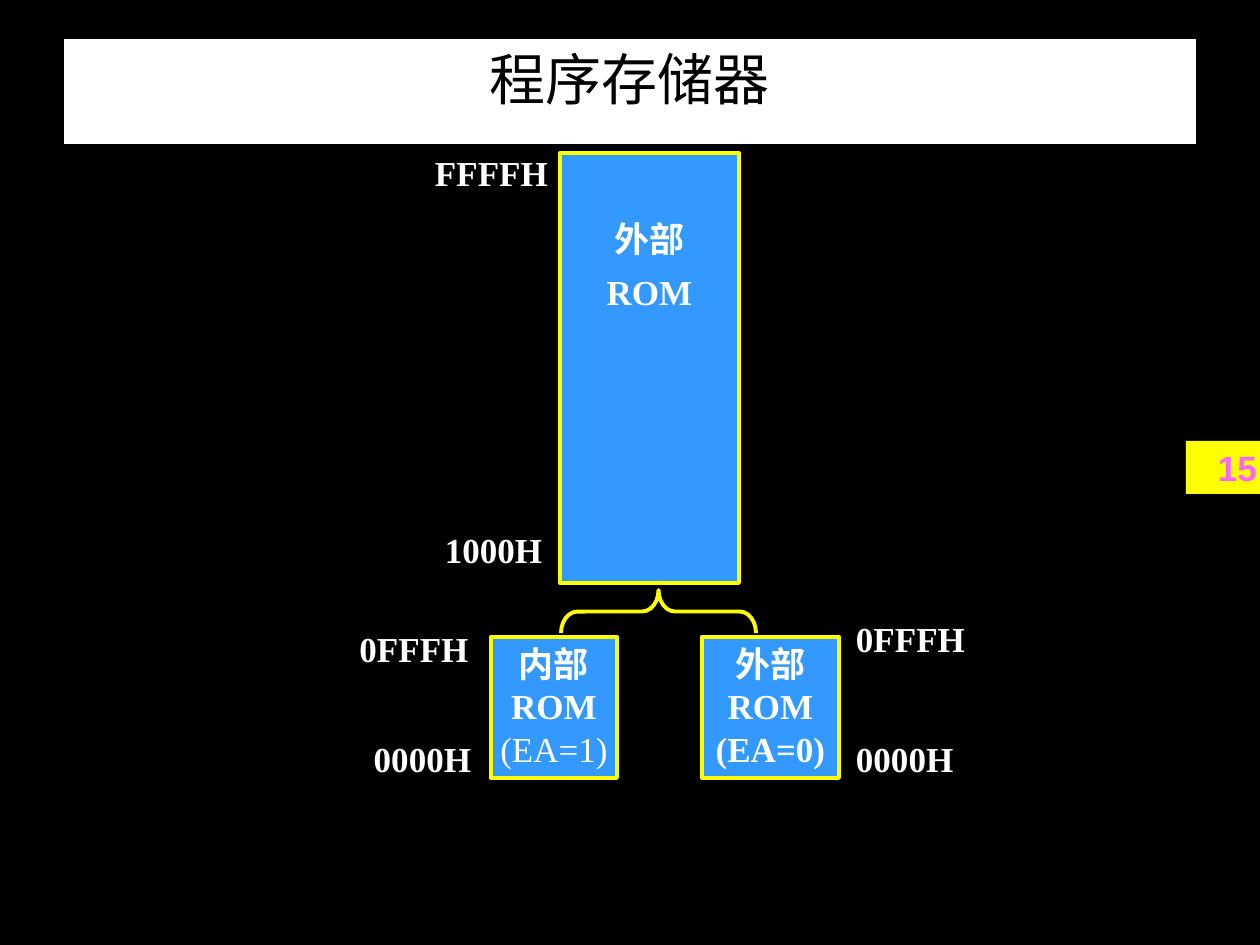
import pptx
import pptx.util
import pptx.dml.color
import pptx.enum.shapes
import pptx.enum.text

COLORS = {
    "background": "000000", "title_fill": "FFFFFF", "title_text": "000000",
    "memory": "3399FF", "outline": "FFFF00", "text": "FFFFFF",
    "number_fill": "FFFF00", "number_text": "FF66FF",
}
SHAPES = pptx.enum.shapes.MSO_SHAPE
ALIGN = pptx.enum.text.PP_ALIGN


def px(*lengths):
    return [pptx.util.Emu(round(length * 914400 / 126)) for length in lengths]


def write(shape, text, size=20, font="Times New Roman", color="text", bold=True,
          align=ALIGN.CENTER, before=0, after=0, side=8, top=6):
    frame = shape.text_frame
    frame.word_wrap = True
    frame.auto_size = pptx.enum.text.MSO_AUTO_SIZE.NONE
    frame.vertical_anchor = pptx.enum.text.MSO_ANCHOR.TOP
    frame.margin_left, frame.margin_right, frame.margin_top, frame.margin_bottom = px(side, side, top, 6)
    frame.text = text
    for paragraph in frame.paragraphs:
        paragraph.alignment = align
        paragraph.space_before = pptx.util.Pt(before)
        paragraph.space_after = pptx.util.Pt(after)
        run_font = paragraph.runs[0].font
        run_font.name = font
        run_font.size = pptx.util.Pt(size)
        run_font.bold = bold
        run_font.color.rgb = pptx.dml.color.RGBColor.from_string(COLORS[color])
    return frame.paragraphs


rgb = {name: pptx.dml.color.RGBColor.from_string(value) for name, value in COLORS.items()}

presentation = pptx.Presentation()
presentation.slide_width, presentation.slide_height = px(1260, 945)
slide = presentation.slides.add_slide(presentation.slide_layouts[5])
slide.background.fill.solid()
slide.background.fill.fore_color.rgb = rgb["background"]

# Title
title = slide.shapes.title
title.left, title.top, title.width, title.height = px(63, 38, 1134, 107)
title.fill.solid()
title.fill.fore_color.rgb = rgb["title_fill"]
title.line.color.rgb = rgb["background"]
title.line.width = pptx.util.Pt(0.75)
write(title, "程序存储器", size=32, font="Arial", color="title_text", bold=False, side=13)

# Page number tab at the right edge
number = slide.shapes.add_shape(SHAPES.RECTANGLE, *px(1186, 441, 84, 53))
number.shadow.inherit = False
number.fill.solid()
number.fill.fore_color.rgb = rgb["number_fill"]
number.line.fill.background()
write(number, "15", font="Arial", color="number_text", align=ALIGN.RIGHT, side=13)

# Memory blocks
blocks = []
for text, left, top, width, height, inset in [
    ("外部\nROM", 560, 153, 179, 430, 65),
    ("内部\nROM\n(EA=1)", 491, 637, 126, 141, 6),
    ("外部\nROM\n(EA=0)", 702, 637, 137, 141, 6),
]:
    block = slide.shapes.add_shape(SHAPES.RECTANGLE, *px(left, top, width, height))
    block.shadow.inherit = False
    block.fill.solid()
    block.fill.fore_color.rgb = rgb["memory"]
    block.line.color.rgb = rgb["outline"]
    block.line.width = pptx.util.Pt(2.25)
    blocks.append(write(block, text, top=inset))
blocks[0][1].space_before = pptx.util.Pt(6)
blocks[0][1].space_after = pptx.util.Pt(4)
blocks[1][2].runs[0].font.bold = False

# Brace joining the two lower blocks to the upper one
brace = slide.shapes.add_shape(SHAPES.LEFT_BRACE, *px(637, 514, 43, 195))
brace.rotation = 90
brace.adjustments[0] = 0.38
brace.shadow.inherit = False
brace.fill.background()
brace.line.color.rgb = rgb["outline"]
brace.line.width = pptx.util.Pt(2.25)

# Address labels
for text, left, top, width, align, spacing in [
    ("FFFFH", 422, 145, 139, ALIGN.CENTER, 0),
    ("1000H", 432, 522, 123, ALIGN.CENTER, 0),
    ("0FFFH", 342, 621, 144, ALIGN.CENTER, 2),
    ("0000H", 352, 731, 141, ALIGN.CENTER, 0),
    ("0FFFH", 848, 611, 139, ALIGN.JUSTIFY, 2),
    ("0000H", 848, 731, 139, ALIGN.JUSTIFY, 0),
]:
    label = slide.shapes.add_textbox(*px(left, top, width, 68))
    write(label, text, align=align, before=spacing, after=spacing)

presentation.save("out.pptx")
